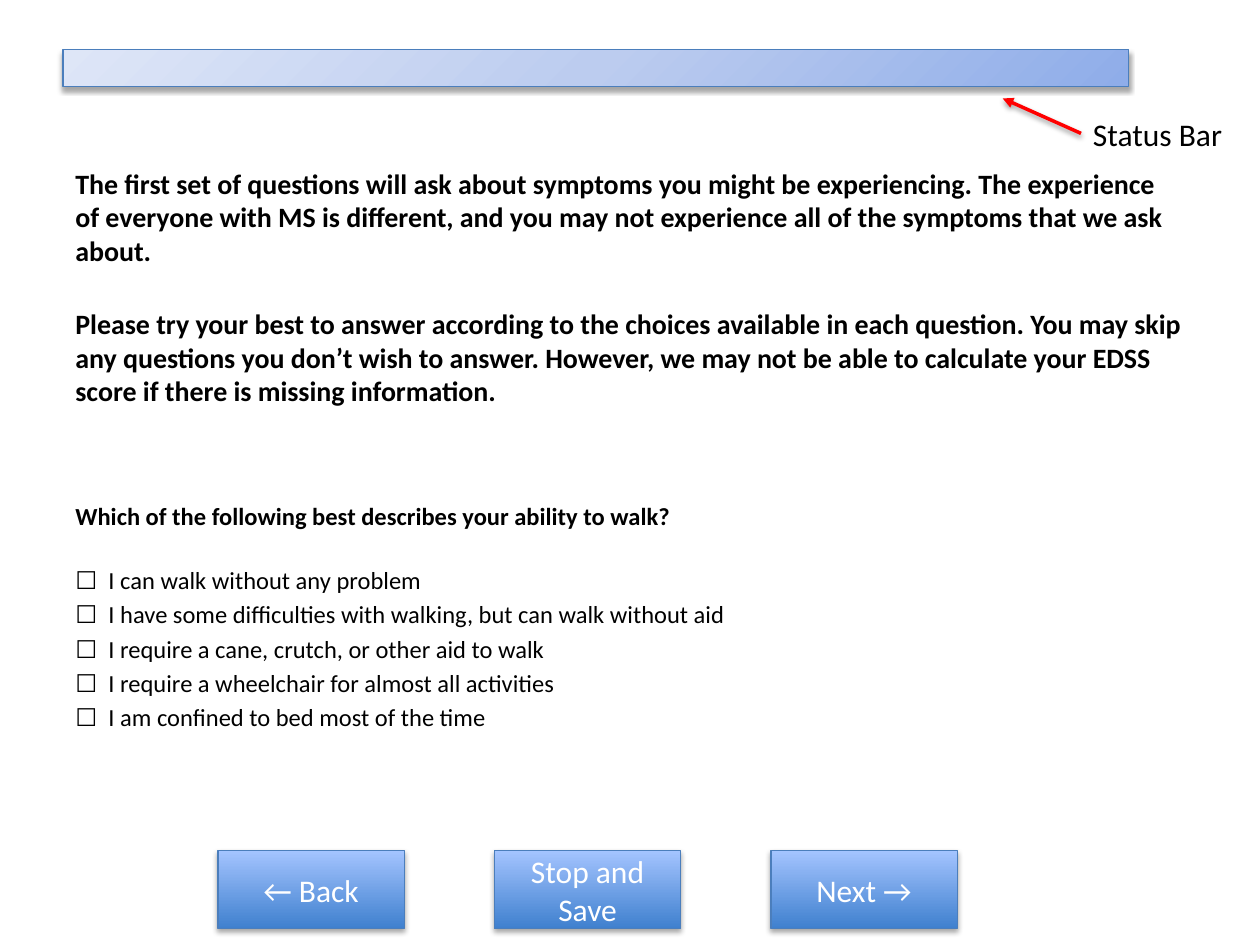
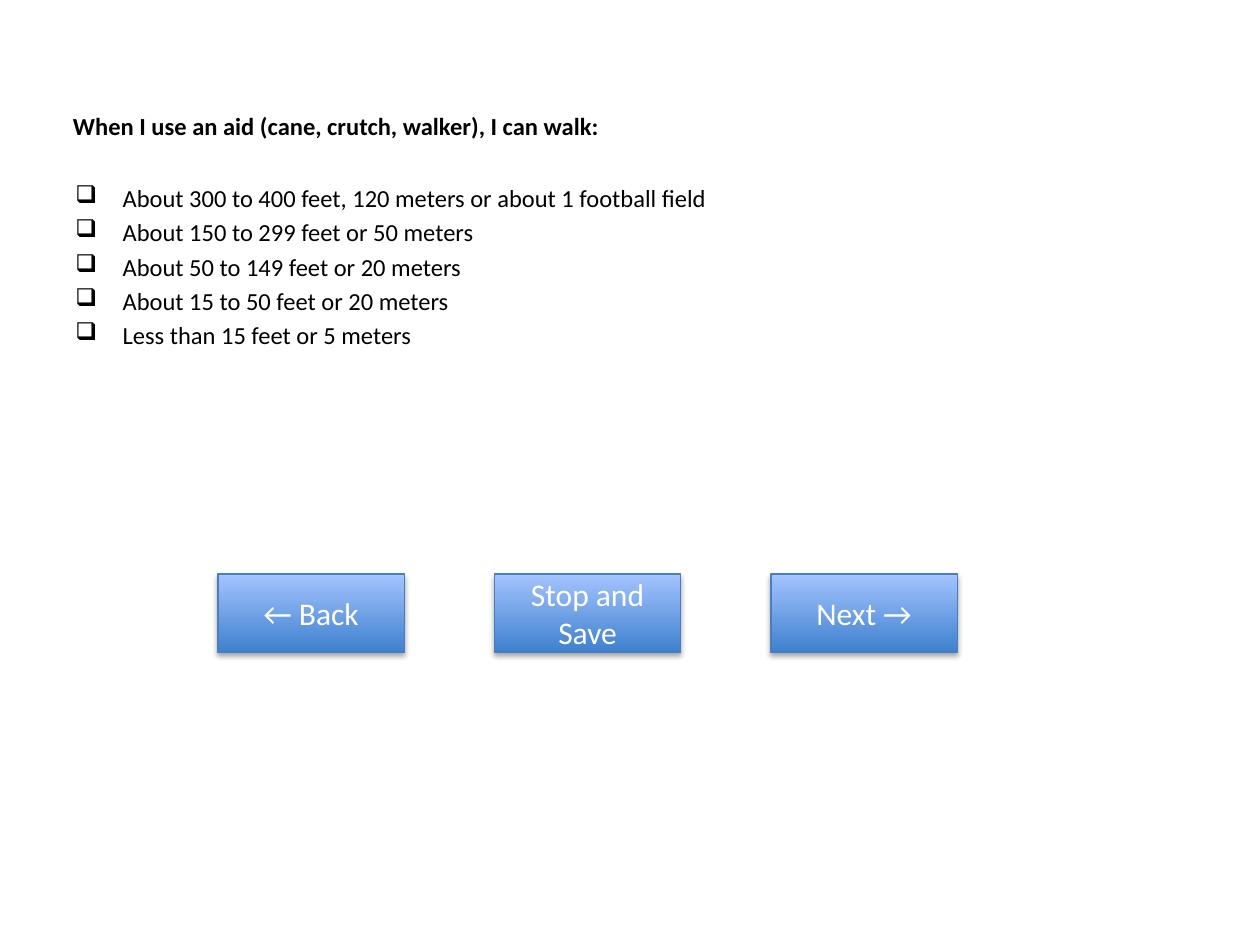
from lxml import etree
from pptx import Presentation
from pptx.dml.color import RGBColor
from pptx.enum.shapes import MSO_CONNECTOR, MSO_SHAPE
from pptx.enum.text import MSO_ANCHOR, PP_ALIGN
from pptx.oxml.ns import qn
from pptx.util import Pt

RECTANGLE = MSO_SHAPE.RECTANGLE
STRAIGHT = MSO_CONNECTOR.STRAIGHT
TOP, MIDDLE = MSO_ANCHOR.TOP, MSO_ANCHOR.MIDDLE
LEFT, CENTER = PP_ALIGN.LEFT, PP_ALIGN.CENTER
TITLE_ONLY, BLANK = 5, 6

BUTTON_LABELS = ["← Back", "Stop and Save", "Next →"]
INTRODUCTION = [
    "The first set of questions will ask about symptoms you might be experiencing. "
    "The experience of everyone with MS is different, and you may not experience "
    "all of the symptoms that we ask about.",
    "Please try your best to answer according to the choices available in each "
    "question. You may skip any questions you don’t wish to answer. However, we may "
    "not be able to calculate your EDSS score if there is missing information.",
]
WALKING_QUESTION = "Which of the following best describes your ability to walk?"
WALKING_ANSWERS = [
    "I can walk without any problem",
    "I have some difficulties with walking, but can walk without aid",
    "I require a cane, crutch, or other aid to walk",
    "I require a wheelchair for almost all activities",
    "I am confined to bed most of the time",
]
AID_QUESTION = "When I use an aid (cane, crutch, walker), I can walk:"
AID_ANSWERS = [
    "About 300 to 400 feet, 120 meters or about 1 football field",
    "About 150 to 299 feet or 50 meters",
    "About 50 to 149 feet or 20 meters",
    "About 15 to 50 feet or 20 meters",
    "Less than 15 feet or 5 meters",
]


def color(value):
    return RGBColor.from_string(value)


def child(parent, tag, **attributes):
    element = etree.SubElement(parent, qn(tag))
    for name, value in attributes.items():
        element.set(name, str(value))
    return element


class Questionnaire:
    font = "Calibri"
    text = "000000"
    button_text = "FFFFFF"
    outline = "4B7EBC"
    arrow_color = "FF0000"
    button_stops = [(0, "3F80CE"), (100, "A4C4FF")]
    bar_stops = [(0, "8FADE9"), (50, "BCCCEF"), (100, "DEE6F7")]
    answer_size = 14
    answer_gap = 2.8

    def __init__(self):
        self.presentation = Presentation()
        self.presentation.slide_width = Pt(720)
        self.presentation.slide_height = Pt(540)
        self.slide = None

    def add_slide(self, layout):
        layouts = self.presentation.slide_layouts
        self.slide = self.presentation.slides.add_slide(layouts[layout])

    def run(self, paragraph, text, size, bold=False, fill=text):
        run = paragraph.add_run()
        run.text = text
        run.font.name = self.font
        run.font.size = Pt(size)
        run.font.bold = bold
        run.font.color.rgb = color(fill)

    def title(self, text):
        title = self.slide.shapes.title
        title.left, title.top = Pt(34.5), Pt(51)
        title.width, title.height = Pt(648), Pt(73.5)
        frame = title.text_frame
        frame.vertical_anchor = TOP
        frame.margin_top = Pt(12.5)
        paragraph = frame.paragraphs[0]
        paragraph.alignment = LEFT
        self.run(paragraph, text, self.answer_size, bold=True)

    def text_box(self, left, top, width, height):
        box = self.slide.shapes.add_textbox(Pt(left), Pt(top), Pt(width), Pt(height))
        box.text_frame.word_wrap = True
        return box.text_frame

    def paragraph(self, frame, text, size, bold=False, before=0.0):
        first = frame.paragraphs[0]
        paragraph = frame.add_paragraph() if first.runs else first
        paragraph.space_before = Pt(before)
        self.run(paragraph, text, size, bold)
        return paragraph

    def bullet(self, paragraph, symbol, indent):
        properties = paragraph._p.get_or_add_pPr()
        properties.set("marL", str(Pt(indent)))
        properties.set("indent", str(-Pt(indent)))
        child(properties, "a:buChar", char=symbol)

    def shadow(self, effects, opacity, distance):
        shadow = child(effects, "a:outerShdw", blurRad=Pt(3.1), dist=Pt(distance),
                       dir=5400000, rotWithShape=0)
        black = child(shadow, "a:srgbClr", val="000000")
        child(black, "a:alpha", val=opacity * 1000)

    def gradient_box(self, left, top, width, height, stops, radial=False):
        shape = self.slide.shapes.add_shape(
            RECTANGLE, Pt(left), Pt(top), Pt(width), Pt(height))
        shape.line.color.rgb = color(self.outline)
        shape.line.width = Pt(0.75)
        shape.shadow.inherit = False
        properties = shape._element.spPr
        self.shadow(properties.find(qn("a:effectLst")), 35, 1.8)
        gradient = etree.Element(qn("a:gradFill"), rotWithShape="1")
        stop_list = child(gradient, "a:gsLst")
        for position, value in stops:
            stop = child(stop_list, "a:gs", pos=position * 1000)
            child(stop, "a:srgbClr", val=value)
        if radial:
            route = child(gradient, "a:path", path="circle")
            child(route, "a:fillToRect", l=100000, t=100000)
        else:
            child(gradient, "a:lin", ang=16200000, scaled=0)
        properties.find(qn("a:prstGeom")).addnext(gradient)
        return shape

    def arrow(self, start, end):
        arrow = self.slide.shapes.add_connector(
            STRAIGHT, *[Pt(value) for value in start + end])
        arrow.line.color.rgb = color(self.arrow_color)
        arrow.line.width = Pt(2)
        properties = arrow._element.spPr
        child(properties.find(qn("a:ln")), "a:tailEnd", type="triangle")
        self.shadow(child(properties, "a:effectLst"), 38, 1.6)

    def buttons(self, top):
        for index, label in enumerate(BUTTON_LABELS):
            button = self.gradient_box(
                124.5 + index * 158, top, 106.5, 44.75, self.button_stops)
            frame = button.text_frame
            frame.word_wrap = True
            frame.vertical_anchor = MIDDLE
            frame.paragraphs[0].alignment = CENTER
            self.run(frame.paragraphs[0], label, 18, fill=self.button_text)


def walking_slide(deck):
    deck.add_slide(BLANK)
    deck.gradient_box(36, 28.25, 609, 21, deck.bar_stops, radial=True)
    deck.arrow((617.75, 76.25), (573, 56.25))
    deck.paragraph(deck.text_box(617.5, 62, 102.5, 29), "Status Bar", 18)
    body = deck.text_box(36, 91.5, 648, 362)
    for text, before in zip(INTRODUCTION, (0, 22.6)):
        deck.paragraph(body, text, 16, bold=True, before=before)
    deck.paragraph(body, WALKING_QUESTION, deck.answer_size, bold=True, before=53.5)
    for index, answer in enumerate(WALKING_ANSWERS):
        before = deck.answer_gap if index else 19.8
        deck.paragraph(body, "☐  " + answer, deck.answer_size, before=before)
    deck.buttons(486)


def aid_slide(deck):
    deck.add_slide(TITLE_ONLY)
    deck.title(AID_QUESTION)
    body = deck.text_box(36, 101, 648, 356.5)
    for answer in AID_ANSWERS:
        paragraph = deck.paragraph(
            body, answer, deck.answer_size, before=deck.answer_gap)
        deck.bullet(paragraph, "❑", 27)
    deck.buttons(328)


def main():
    deck = Questionnaire()
    walking_slide(deck)
    aid_slide(deck)
    deck.presentation.save("out.pptx")


if __name__ == "__main__":
    main()
